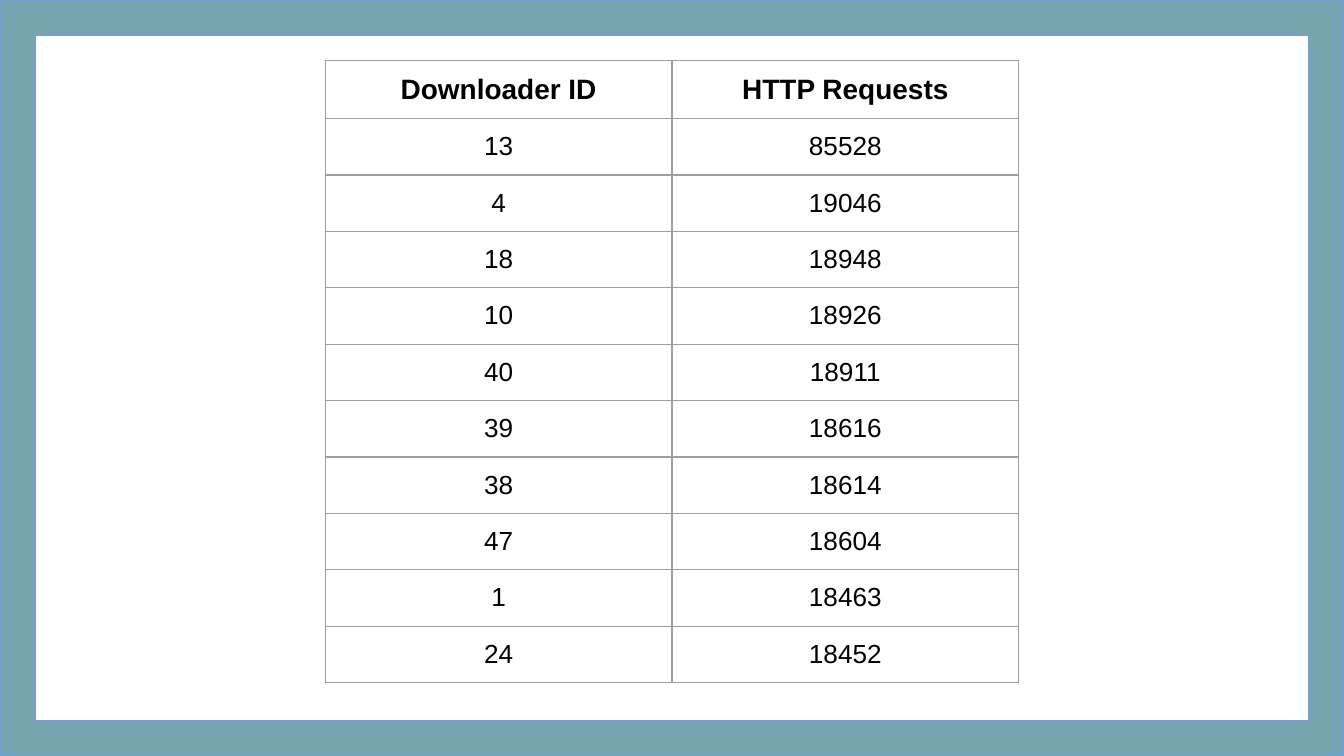
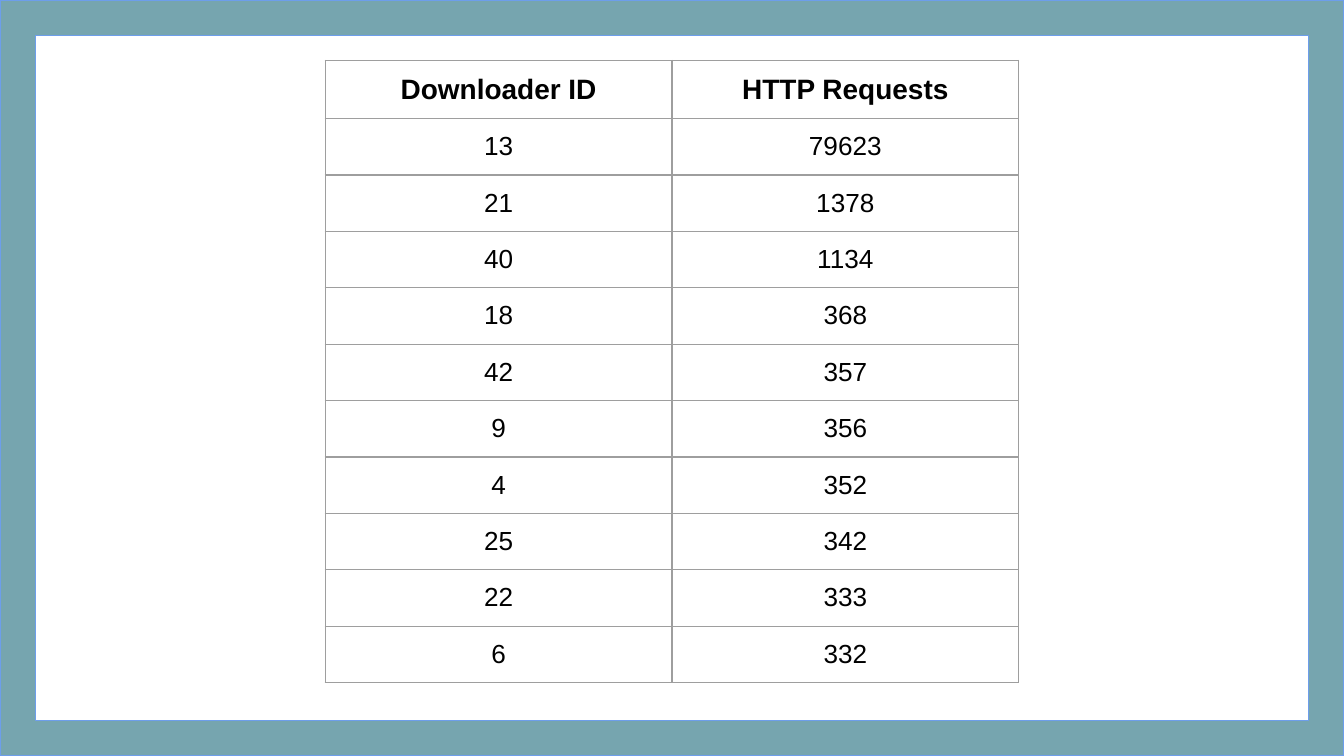
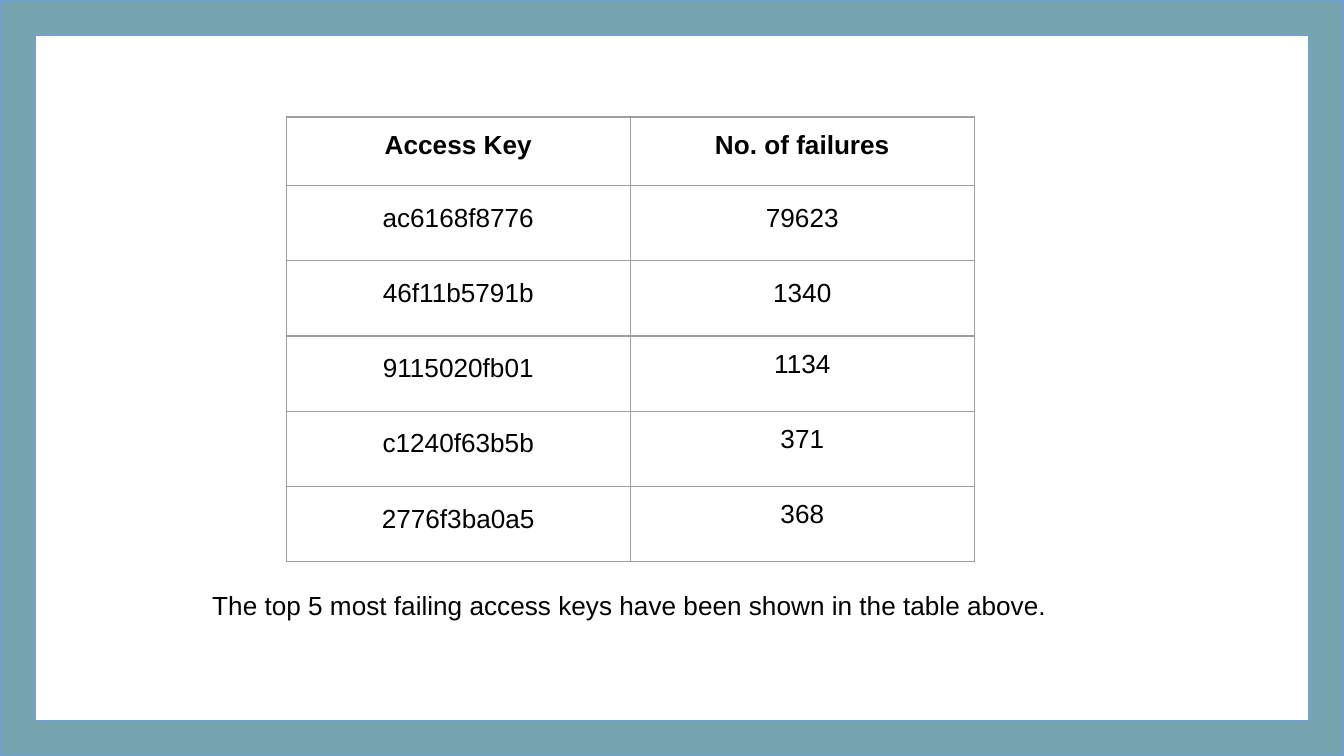
from lxml.etree import SubElement
from pptx import Presentation
from pptx.dml.color import RGBColor
from pptx.enum.shapes import MSO_SHAPE
from pptx.enum.text import MSO_ANCHOR, PP_ALIGN
from pptx.oxml.ns import qn
from pptx.util import Inches, Pt

WIDTH, HEIGHT = Inches(10), Inches(5.625)
FONT = "Arial"
BLACK = RGBColor(0x00, 0x00, 0x00)
TEAL = RGBColor(0x76, 0xA5, 0xAF)
BLUE = RGBColor(0x6D, 0x9E, 0xEB)
GREY = RGBColor(0x9E, 0x9E, 0x9E)
INSET = Inches(0.1)
BODY_SIZE = 14
LOOSE = 1.15

REQUEST_HEADER = ("Downloader ID", "HTTP Requests")
ALL_REQUESTS = [
    ("13", "85528"), ("4", "19046"), ("18", "18948"), ("10", "18926"),
    ("40", "18911"), ("39", "18616"), ("38", "18614"), ("47", "18604"),
    ("1", "18463"), ("24", "18452"),
]
TOP_REQUESTS = [
    ("13", "79623"), ("21", "1378"), ("40", "1134"), ("18", "368"),
    ("42", "357"), ("9", "356"), ("4", "352"), ("25", "342"),
    ("22", "333"), ("6", "332"),
]
FAILURE_HEADER = ("Access Key", "No. of failures")
FAILURES = [
    ("ac6168f8776", "79623"), ("46f11b5791b", "1340"),
    ("9115020fb01", "1134"), ("c1240f63b5b", "371"), ("2776f3ba0a5", "368"),
]
CAPTION = "The top 5 most failing access keys have been shown in the table above."


def add_page(deck):
    """Add an empty page on the blank layout."""
    return deck.slides.add_slide(deck.slide_layouts[6])


def add_frame(page):
    """Draw the border that surrounds every page."""
    frame = page.shapes.add_shape(MSO_SHAPE.FRAME, 0, 0, WIDTH, HEIGHT)
    frame.adjustments[0] = 0.047
    frame.shadow.inherit = False
    frame.fill.solid()
    frame.fill.fore_color.rgb = TEAL
    frame.line.color.rgb = BLUE
    frame.line.width = Pt(0.75)


def write(text_frame, text, size=BODY_SIZE, bold=False, spacing=None):
    """Write one centred line of text."""
    para = text_frame.paragraphs[0]
    para.alignment = PP_ALIGN.CENTER
    if spacing:
        para.line_spacing = spacing
    span = para.add_run()
    span.text = text
    span.font.name = FONT
    span.font.size = Pt(size)
    span.font.bold = bold
    span.font.color.rgb = BLACK


def set_insets(target, top=INSET):
    """Give a cell or text frame equal insets, save for the top."""
    target.margin_left = target.margin_right = target.margin_bottom = INSET
    target.margin_top = top


def outline(cell):
    """Put a thin grey border on all four sides of a cell, with no fill."""
    properties = cell._tc.get_or_add_tcPr()
    for side in ("a:lnL", "a:lnR", "a:lnT", "a:lnB"):
        line = SubElement(properties, qn(side), w=str(Pt(0.75)))
        fill = SubElement(line, qn("a:solidFill"))
        SubElement(fill, qn("a:srgbClr"), val=str(GREY))
    cell.fill.background()


def add_grid(page, header, records, left, top, column_width, row_heights,
             header_size=BODY_SIZE, spacing_of=lambda row, column: None):
    """Add a two-column table; row_heights are for the header and the body."""
    rows = [header, *records]
    head_height, body_height = map(Inches, row_heights)
    table = page.shapes.add_table(
        len(rows), len(header), Inches(left), Inches(top),
        Inches(column_width) * len(header),
        head_height + body_height * len(records)).table
    table.first_row = table.horz_banding = False
    for column in table.columns:
        column.width = Inches(column_width)
    for row, texts in enumerate(rows):
        table.rows[row].height = body_height if row else head_height
        for column, text in enumerate(texts):
            cell = table.cell(row, column)
            set_insets(cell)
            outline(cell)
            write(cell.text_frame, text, BODY_SIZE if row else header_size,
                  row == 0, spacing_of(row, column))


def add_requests(page, records):
    """Add a table of requests per downloader."""
    add_grid(page, REQUEST_HEADER, records, 2.42, 0.45, 2.58, (0.42, 0.42),
             header_size=15)


def failure_spacing(row, column):
    """Return the looser spacing of all keys and the first two counts."""
    return LOOSE if row and (column == 0 or row <= 2) else None


def add_caption(page, text):
    """Add the remark below the table, one line down in its box."""
    box = page.shapes.add_textbox(Inches(0.38), Inches(4.16),
                                  Inches(8.61), Inches(1.42))
    box.text_frame.word_wrap = True
    box.text_frame.vertical_anchor = MSO_ANCHOR.TOP
    set_insets(box.text_frame, top=Inches(0.32))
    write(box.text_frame, text)


def main():
    """Build and save the deck."""
    deck = Presentation()
    deck.slide_width, deck.slide_height = WIDTH, HEIGHT

    page = add_page(deck)
    add_requests(page, ALL_REQUESTS)
    add_frame(page)

    page = add_page(deck)
    add_frame(page)
    add_requests(page, TOP_REQUESTS)

    page = add_page(deck)
    add_grid(page, FAILURE_HEADER, FAILURES, 2.13, 0.87, 2.56, (0.51, 0.56),
             spacing_of=failure_spacing)
    add_caption(page, CAPTION)
    add_frame(page)

    deck.save("out.pptx")


main()
